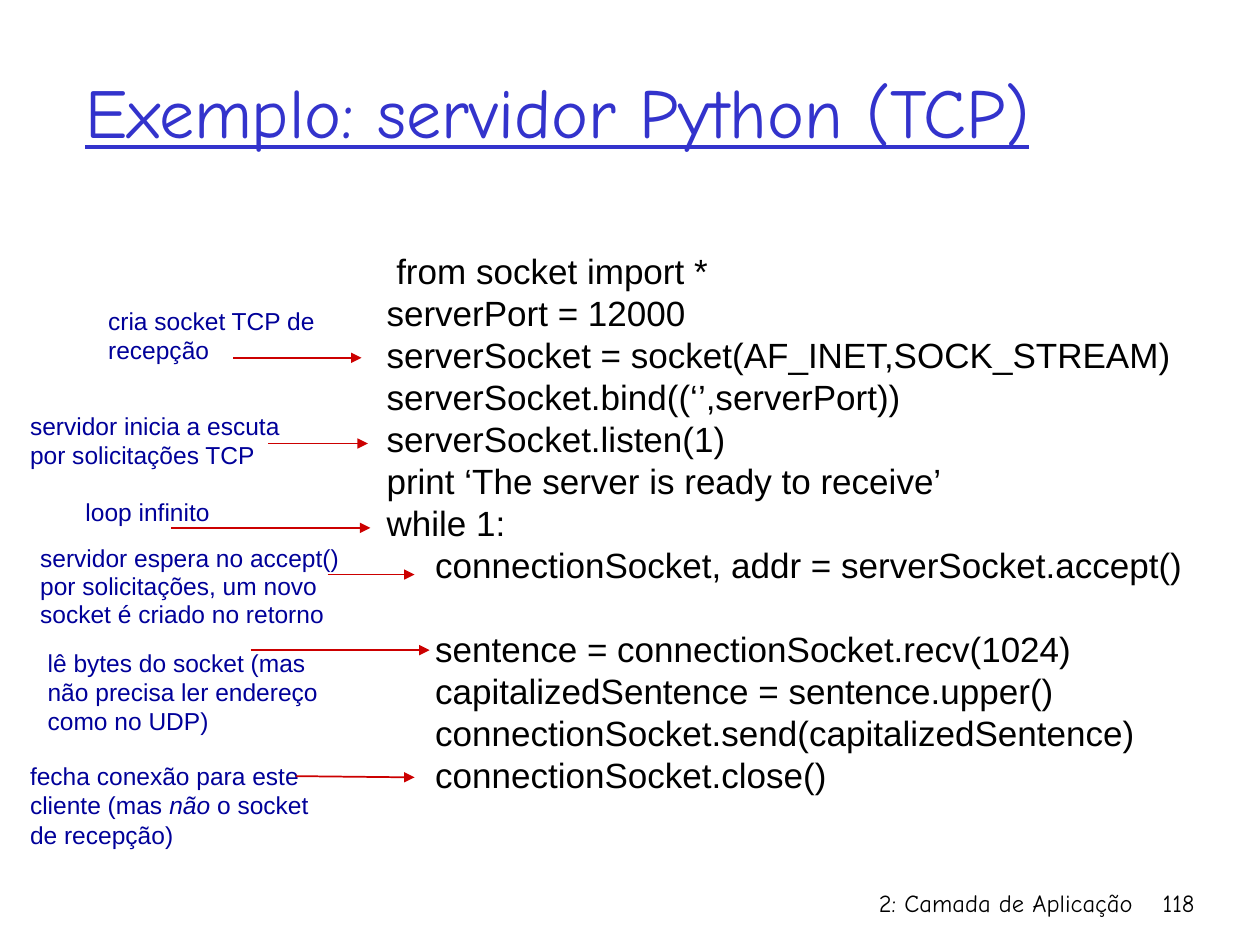
from lxml import etree
from pptx import Presentation
from pptx.dml.color import RGBColor
from pptx.enum import shapes, text
from pptx.oxml.ns import qn
from pptx.util import Inches, Pt

TITLE = "Exemplo: servidor Python (TCP)"
FOOTER = [
    ("2: Camada de Aplicação", (5.92, 7, 3.17, 0.5)),
    ("118", (9.08, 7, 0.5, 0.5)),
]
CODE = """ from socket import *
serverPort = 12000
serverSocket = socket(AF_INET,SOCK_STREAM)
serverSocket.bind((‘’,serverPort))
serverSocket.listen(1)
print ‘The server is ready to receive’
while 1:
     connectionSocket, addr = serverSocket.accept()
     sentence = connectionSocket.recv(1024)
     capitalizedSentence = sentence.upper()
     connectionSocket.send(capitalizedSentence)
     connectionSocket.close()""".split("\n")
GAP_BEFORE = 8
CODE_PITCH = 24

NOTES = [
    (["cria socket TCP de recepção"], (0.76, 2.38, 2.65, 0.81), 16.8, (1.85, 2.84, 2.87, 2.84)),
    (["servidor inicia a escuta por solicitações TCP"], (0.14, 3.21, 2.4, 0.57), 16.8,
     (2.13, 3.52, 2.92, 3.52)),
    (["loop infinito"], (0.58, 3.91, 1.31, 0.33), 16, (1.36, 4.19, 2.94, 4.19)),
    (["servidor espera no accept()", "por solicitações, um novo socket é criado no retorno"],
     (0.22, 4.27, 2.81, 0.77), 16, (2.6, 4.56, 3.29, 4.56)),
    (["lê bytes do socket (mas não precisa ler endereço como no UDP)"],
     (0.28, 5.09, 2.57, 0.81), 16.8, (1.99, 5.16, 3.41, 5.16)),
    ([["fecha conexão para este cliente (mas ", ("não", True), " o socket de recepção)"]],
     (0.14, 5.99, 2.57, 0.81), 16.8, (2.35, 6.16, 3.29, 6.17)),
]


def color(value):
    return RGBColor.from_string(value)


def add_text(page, lines, place, size=14, font="Arial", fill="000000", pitch=None,
             underline=False, align=text.PP_ALIGN.LEFT, anchor=text.MSO_ANCHOR.TOP):
    box = page.shapes.add_textbox(*map(Inches, place))
    frame = box.text_frame
    frame.word_wrap = True
    frame.vertical_anchor = anchor
    for index, line in enumerate(lines):
        para = frame.paragraphs[0] if index == 0 else frame.add_paragraph()
        para.alignment = align
        if pitch:
            para.line_spacing = Pt(pitch)
        for part in [line] if isinstance(line, str) else line:
            words, italic = (part, False) if isinstance(part, str) else part
            span = para.add_run()
            span.text = words
            span.font.size = Pt(size)
            span.font.name = font
            span.font.color.rgb = color(fill)
            span.font.underline = underline
            span.font.italic = italic
    return box


def add_arrow(page, ends):
    arrow = page.shapes.add_connector(shapes.MSO_CONNECTOR.STRAIGHT, *map(Inches, ends))
    arrow.line.color.rgb = color("CC0000")
    arrow.line.width = Pt(1)
    etree.SubElement(arrow.line._get_or_add_ln(), qn("a:tailEnd"), type="triangle")
    etree.SubElement(arrow._element.spPr, qn("a:effectLst"))


def main():
    deck = Presentation()
    deck.slide_width, deck.slide_height = Inches(10), Inches(7.5)
    page = deck.slides.add_slide(deck.slide_layouts[6])

    add_text(page, [TITLE], (0.58, 0.25, 8.5, 1.25), size=40, font="Comic Neue",
             fill="3333CC", underline=True, anchor=text.MSO_ANCHOR.MIDDLE)
    for words, place in FOOTER:
        add_text(page, [words], place, font="Comic Neue", align=text.PP_ALIGN.RIGHT)

    code = add_text(page, CODE, (2.97, 1.93, 6.56, 5.28), size=20, pitch=CODE_PITCH)
    code.text_frame.paragraphs[GAP_BEFORE].space_before = Pt(CODE_PITCH)

    for lines, place, pitch, ends in NOTES:
        add_text(page, lines, place, fill="000099", pitch=pitch)
        add_arrow(page, ends)

    deck.save("out.pptx")


if __name__ == "__main__":
    main()
